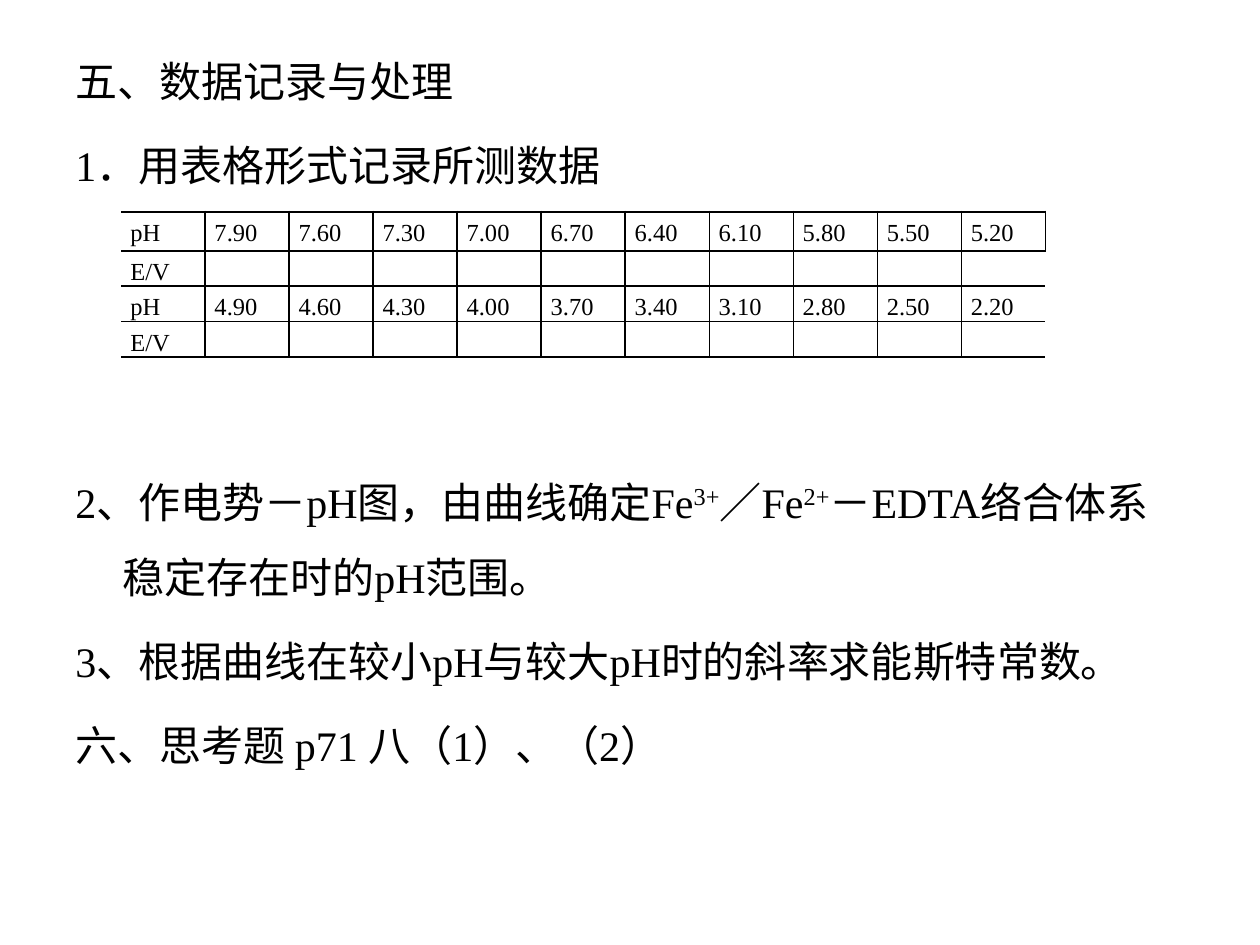
"""Build the slide on recording and processing the pH and potential data."""
from lxml.etree import SubElement as Sub
from pptx import Presentation
from pptx.dml.color import RGBColor
from pptx.enum.text import PP_ALIGN as Align
from pptx.oxml import parse_xml
from pptx.oxml.ns import nsdecls, qn
from pptx.util import Cm, Pt

BLACK = RGBColor(0, 0, 0)
SERIF = "Times New Roman"

GAP = 4.8
LINES = [
    (0, "Calibri", ["五、数据记录与处理"]),
    (GAP, SERIF, ["1．用表格形式记录所测数据"]),
    (149.4, SERIF, ["2、作电势－pH图，由曲线确定Fe", "3+", "／Fe", "2+",
                    "－EDTA络合体系稳定存在时的pH范围。"]),
    (GAP, SERIF, ["3、根据曲线在较小pH与较大pH时的斜率求能斯特常数。"]),
    (GAP, SERIF, ["六、思考题 p71 八（1）、（2）"]),
]

COLS = 11
BLANK = ["E/V"] + [""] * (COLS - 1)


def scale(top):
    return ["pH"] + [f"{top - 0.3 * i:.2f}" for i in range(COLS - 1)]


ROWS = [scale(7.9), BLANK, scale(4.9), BLANK]
HIGH = [0.79, 0.71, 0.71, 0.71]
WIDE = 18.64


def style(para, name, size):
    para.font.name = name
    para.font.size = Pt(size)
    para.font.color.rgb = BLACK


def add_text(slide):
    frame = slide.shapes.add_textbox(Cm(1.27), Cm(0.48), Cm(22.86), Cm(16.64)).text_frame
    frame.word_wrap = True
    for i, (gap, name, parts) in enumerate(LINES):
        para = frame.add_paragraph() if i else frame.paragraphs[0]
        props = para._p.get_or_add_pPr()
        props.set("marL", str(Cm(0.95)))
        props.set("indent", str(-Cm(0.95)))
        para.line_spacing = 1.5
        para.space_before = Pt(gap)
        style(para, name, 24)
        for j, part in enumerate(parts):
            run = para.add_run()
            run.text = part
            if j % 2:
                run.font._element.set("baseline", "30000")


def border(cell, sides):
    props = cell._tc.get_or_add_tcPr()
    for i, (side, width) in enumerate(sides.items()):
        line = parse_xml(f'<a:ln{side} {nsdecls("a")} w="{Pt(width)}"/>')
        if width:
            fill = Sub(line, qn("a:solidFill"))
            Sub(fill, qn("a:srgbClr"), val=str(BLACK))
        else:
            Sub(line, qn("a:noFill"))
        props.insert(i, line)


def add_grid(slide):
    frame = slide.shapes.add_table(len(ROWS), COLS, Cm(2.44), Cm(4.27), Cm(WIDE), Cm(sum(HIGH)))
    table = frame.table
    table.first_row = table.horz_banding = False
    for col in table.columns:
        col.width = Cm(WIDE / COLS)
    last = len(ROWS) - 1
    for r, (row, high) in enumerate(zip(ROWS, HIGH)):
        table.rows[r].height = Cm(high)
        for c, text in enumerate(row):
            cell = table.cell(r, c)
            cell.margin_left = cell.margin_right = Cm(0.19)
            cell.margin_top = cell.margin_bottom = 0
            cell.fill.background()
            cell.text = text
            para = cell.text_frame.paragraphs[0]
            para.alignment = Align.JUSTIFY
            para.line_spacing = Pt(20)
            style(para, SERIF, 14)
            border(cell, {
                "L": 1 if c else 0,
                "R": 1 if c < COLS - 1 or r == 0 else 0,
                "T": 1 if r else 1.5,
                "B": 1.5 if r == last else 1,
            })


def main():
    deck = Presentation()
    deck.slide_width, deck.slide_height = Cm(25.4), Cm(19.05)
    slide = deck.slides.add_slide(deck.slide_layouts[6])
    add_text(slide)
    add_grid(slide)
    deck.save("out.pptx")


if __name__ == "__main__":
    main()
